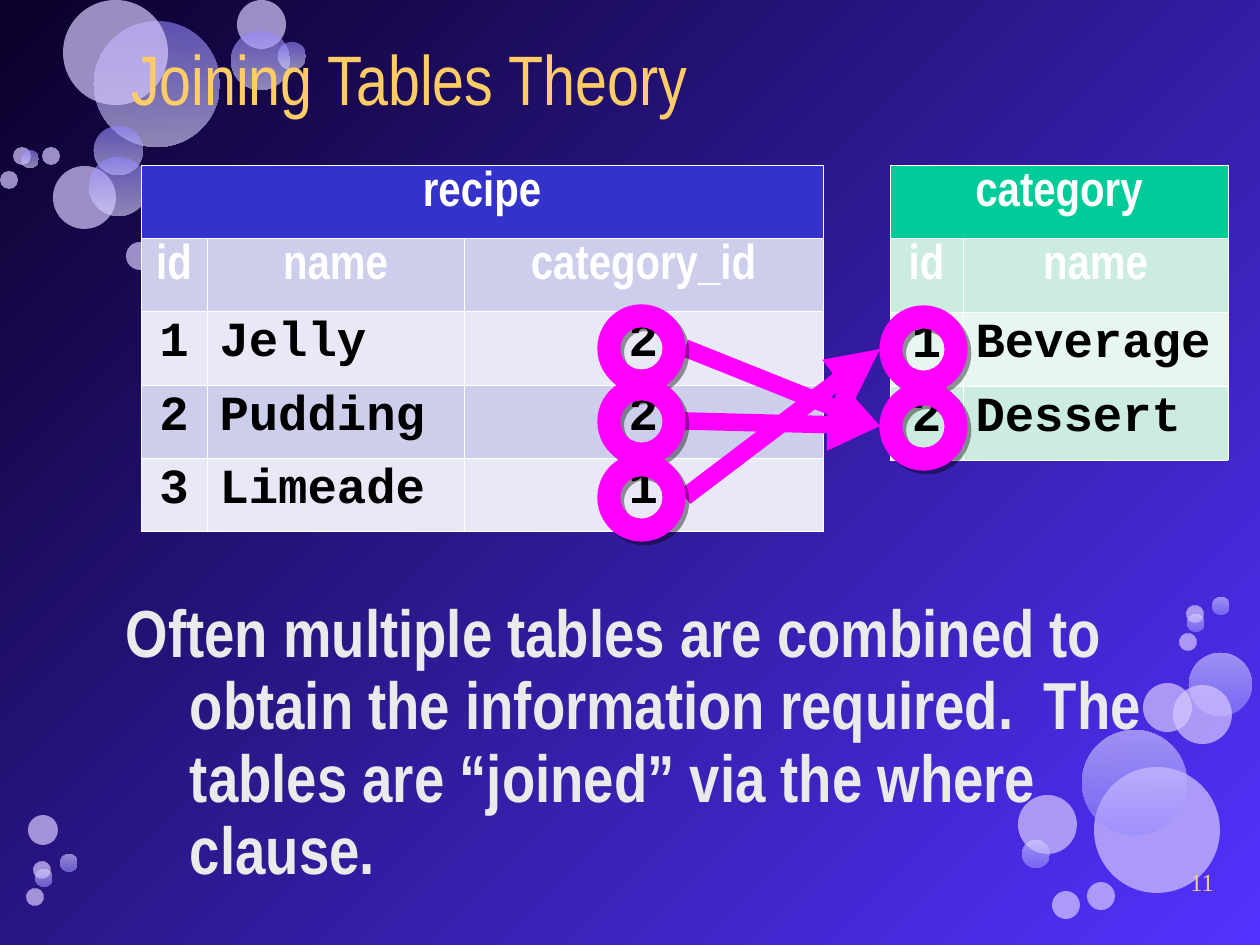
from dataclasses import dataclass

from lxml import etree
from pptx import Presentation
from pptx.dml.color import RGBColor
from pptx.enum.shapes import MSO_CONNECTOR, MSO_SHAPE
from pptx.enum.text import MSO_ANCHOR, PP_ALIGN
from pptx.oxml.ns import qn
from pptx.util import Emu, Pt

OVAL, DONUT = MSO_SHAPE.OVAL, MSO_SHAPE.DONUT
LINE = MSO_CONNECTOR.STRAIGHT
LEFT, MID, RIGHT = PP_ALIGN.LEFT, PP_ALIGN.CENTER, PP_ALIGN.RIGHT
TOP, CENTER = MSO_ANCHOR.TOP, MSO_ANCHOR.MIDDLE
SCALE = 914400 / 126
PALE, DEEP = "pale", "deep"


@dataclass(frozen=True)
class Theme:
    """Colours, fonts and type sizes of the slide."""
    back: tuple = ("0B0029", "5332FF")
    deep: tuple = ("9185FF", "DEDCFF")
    pale: str = "D7C8FE"
    title: str = "FFCC66"
    body: str = "EAEAEA"
    page: str = "EBD189"
    white: str = "FFFFFF"
    black: str = "000000"
    mark: str = "FF00FF"
    blue: tuple = ("3333CC", "CDCDEC", "E8E8F6")
    green: tuple = ("00CC99", "CBECDE", "E7F6EF")
    sans: str = "Arial Narrow"
    mono: str = "Courier New"
    serif: str = "Times New Roman"
    big: int = 40
    text: int = 38
    cell: int = 28
    small: int = 14


THEME = Theme()

CORNER = [
    (94, 21, 126, DEEP), (53, 166, 63, PALE), (94, 126, 49, DEEP),
    (89, 157, 59, DEEP), (63, 0, 105, PALE), (237, 0, 49, PALE),
    (231, 31, 59, DEEP), (278, 42, 28, DEEP), (142, 210, 28, PALE),
    (13, 147, 18, PALE), (126, 242, 28, PALE), (0, 171, 18, PALE),
    (21, 150, 18, DEEP), (42, 147, 18, PALE),
]
CLUSTER = [
    (76, 170, 126, PALE), (171, 56, 63, DEEP), (125, 86, 49, PALE),
    (155, 88, 59, PALE), (64, 133, 105, DEEP), (0, 198, 59, PALE),
    (4, 243, 28, DEEP), (34, 294, 28, PALE), (168, 8, 18, PALE),
    (69, 285, 28, PALE), (194, 0, 18, DEEP), (169, 17, 18, DEEP),
    (161, 36, 18, PALE),
]
FOOT = [
    (2, 0, 30, PALE), (7, 46, 18, PALE), (34, 39, 18, DEEP),
    (9, 54, 18, DEEP), (0, 73, 18, PALE),
]
RECIPE = [
    ("recipe", "", ""), ("id", "name", "category_id"),
    ("1", "Jelly", "2"), ("2", "Pudding", "2"), ("3", "Limeade", "1"),
]
CATEGORY = [("category", ""), ("id", "name"), ("1", "Beverage"), ("2", "Dessert")]


def px(*nums):
    """Turn px lengths into a list of EMU lengths."""
    return [Emu(round(num * SCALE)) for num in nums]


def rgb(code):
    """Make a colour from its hex code."""
    return RGBColor.from_string(code)


def add(parent, tag, **attrs):
    """Append a drawing element with attributes and return it."""
    node = etree.SubElement(parent, qn(tag))
    for key, val in attrs.items():
        node.set(key, str(val))
    return node


def paint(fill, tone, angle=270):
    """Fill with one colour, or with a gradient if given a pair."""
    if isinstance(tone, str):
        fill.solid()
        fill.fore_color.rgb = rgb(tone)
        return
    fill.gradient()
    fill.gradient_angle = angle
    for stop, code in zip(fill.gradient_stops, tone):
        stop.color.rgb = rgb(code)


def write(para, text, form, font):
    """Write one run, with paragraph and font values from dicts."""
    run = para.add_run()
    run.text = text
    for key, val in form.items():
        setattr(para, key, val)
    run.font.color.rgb = rgb(font["tone"])
    for key in font.keys() - {"tone"}:
        setattr(run.font, key, font[key])


def label(slide, box, text, form, font, pad=(0, 0), anchor=TOP, hang=0):
    """Place a wrapped text box with an optional hanging indent."""
    frame = slide.shapes.add_textbox(*px(*box)).text_frame
    wide, high = px(*pad)
    values = dict(word_wrap=True, vertical_anchor=anchor, margin_left=wide,
                  margin_right=wide, margin_top=high, margin_bottom=high)
    for key, val in values.items():
        setattr(frame, key, val)
    para = frame.paragraphs[0]
    write(para, text, form, font)
    if hang:
        props = para._p.get_or_add_pPr()
        for key, val in zip(("marL", "indent"), px(hang, -hang)):
            props.set(key, str(val))


def bubbles(slide, spot, dots, turn=0):
    """Scatter translucent circles from a corner spot."""
    left, top = spot
    for x, y, size, kind in dots:
        dot = slide.shapes.add_shape(OVAL, *px(left + x, top + y, size, size))
        dot.shadow.inherit = False
        dot.line.fill.background()
        paint(dot.fill, getattr(THEME, kind))
        props = dot._element.spPr
        alpha = 70000 if kind == PALE else 60000
        for code in list(props.iter(qn("a:srgbClr"))):
            add(code, "a:alpha", val=alpha)
        if turn:
            dot.rotation = turn
            props.find(qn("a:xfrm")).set("flipV", "1")
        for fade in props.iter(qn("a:gradFill")):
            fade.set("rotWithShape", "0")


def border(cell):
    """Draw thin white lines around a cell."""
    props = cell._tc.get_or_add_tcPr()
    for side in "LRTB":
        edge = add(props, f"a:ln{side}", w=Pt(0.45))
        add(add(edge, "a:solidFill"), "a:srgbClr", val=THEME.white)


def grid(slide, box, rows, cols, tones):
    """Place a data table with a merged title row and shaded rows."""
    table = slide.shapes.add_table(len(rows), len(cols), *px(*box)).table
    table.first_row = table.horz_banding = False
    for col, wide in zip(table.columns, px(*cols)):
        col.width = wide
    edges = [box[3] * i // len(rows) for i in range(len(rows) + 1)]
    for r, row in enumerate(rows):
        table.rows[r].height = px(edges[r + 1] - edges[r])[0]
        head = r < 2
        font = dict(name=THEME.sans if head else THEME.mono, size=Pt(THEME.cell),
                    bold=True, tone=THEME.white if head else THEME.black)
        tone = tones[2 - r % 2] if r else tones[0]
        for c, text in enumerate(row):
            cell = table.cell(r, c)
            border(cell)
            paint(cell.fill, tone)
            form = dict(alignment=MID if head or c != 1 else LEFT,
                        line_spacing=0.96 if head else 0.89)
            if text:
                write(cell.text_frame.paragraphs[0], text, form, font)
    table.cell(0, 0).merge(table.cell(0, len(cols) - 1))


def ring(slide, x, y, size):
    """Circle one key with a shadowed ring."""
    mark = slide.shapes.add_shape(DONUT, *px(x, y, size, size))
    mark.adjustments[0] = 0.25
    paint(mark.fill, THEME.mark)
    mark.line.color.rgb = rgb(THEME.mark)
    mark.line.width = Pt(0.75)
    mark.shadow.inherit = False
    shade = add(mark._element.spPr.find(qn("a:effectLst")), "a:outerShdw",
                blurRad=0, dist=Pt(3), dir=2700000, algn="ctr", rotWithShape=0)
    add(add(shade, "a:srgbClr", val=THEME.black), "a:alpha", val=40000)


def link(slide, *ends):
    """Draw a thick arrow between two points."""
    arrow = slide.shapes.add_connector(LINE, *px(*ends))
    arrow.line.color.rgb = rgb(THEME.mark)
    arrow.line.width = Pt(10)
    add(arrow.line._get_or_add_ln(), "a:tailEnd", type="triangle")
    add(arrow._element.spPr, "a:effectLst")


def joins(slide, box, size=87):
    """Ring the matching keys and join them with arrows."""
    left, top, wide, _ = box
    far, half = left + wide - size, size // 2
    keys = [top + y for y in (0, 73, 149)]
    goals = [top + y for y in (1, 78)]
    for y in goals:
        ring(slide, far, y, size)
    for y, goal in zip(keys, (1, 1, 0)):
        link(slide, left + size, y + half, far, goals[goal] + half)
    for y in keys:
        ring(slide, left, y, size)


def main():
    """Build the slide and save it."""
    deck = Presentation()
    deck.slide_width, deck.slide_height = px(1260, 945)
    slide = deck.slides.add_slide(deck.slide_layouts[6])
    paint(slide.background.fill, THEME.back, 315)
    bubbles(slide, (0, 0), CORNER)
    bubbles(slide, (1018, 597), CLUSTER, 103.3)
    bubbles(slide, (26, 815), FOOT, 103.3)
    label(slide, (131, 29, 1105, 111), "Joining Tables Theory",
          dict(line_spacing=0.85),
          dict(name=THEME.sans, size=Pt(THEME.big), tone=THEME.title), anchor=CENTER)
    grid(slide, (141, 165, 682, 367), RECIPE, (66, 257, 359), THEME.blue)
    grid(slide, (890, 165, 338, 295), CATEGORY, (73, 265), THEME.green)
    joins(slide, (598, 305, 369, 236))
    label(slide, (126, 599, 1095, 333),
          "Often multiple tables are combined to obtain the information required.  "
          "The tables are “joined” via the where clause.",
          dict(line_spacing=0.91, space_before=Pt(8)),
          dict(name=THEME.sans, size=Pt(THEME.text), bold=True, tone=THEME.body), hang=64)
    label(slide, (966, 861, 261, 62), "11", dict(alignment=RIGHT),
          dict(name=THEME.serif, size=Pt(THEME.small), tone=THEME.page), pad=(13, 6))
    deck.save("out.pptx")


if __name__ == "__main__":
    main()
